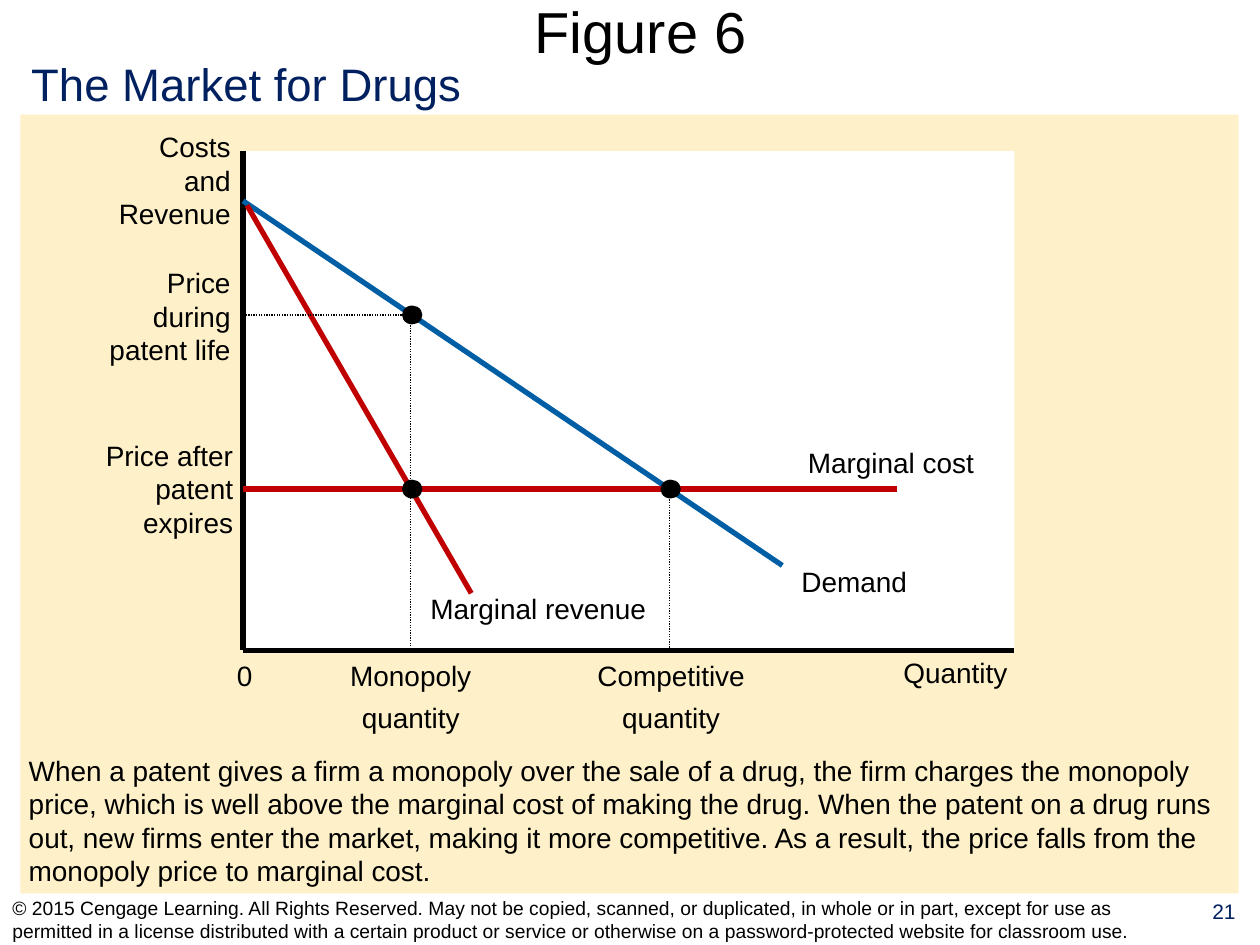
from lxml import etree
from pptx import Presentation
from pptx.dml.color import RGBColor
from pptx.enum.dml import MSO_LINE
from pptx.enum.shapes import MSO_CONNECTOR, MSO_SHAPE
from pptx.enum.text import MSO_ANCHOR, MSO_AUTO_SIZE, PP_ALIGN
from pptx.oxml.ns import qn
from pptx.util import Cm, Pt

LEFT, CENTER, RIGHT = PP_ALIGN.LEFT, PP_ALIGN.CENTER, PP_ALIGN.RIGHT
TOP, MIDDLE = MSO_ANCHOR.TOP, MSO_ANCHOR.MIDDLE
STRAIGHT = MSO_CONNECTOR.STRAIGHT
RECTANGLE, OVAL = MSO_SHAPE.RECTANGLE, MSO_SHAPE.OVAL
DOTTED = MSO_LINE.ROUND_DOT
NO_AUTOFIT = MSO_AUTO_SIZE.NONE
FIT_SHAPE = MSO_AUTO_SIZE.SHAPE_TO_FIT_TEXT
TITLE_ONLY = 5

FONT = "Arial"
BLACK, WHITE, NAVY = "000000", "FFFFFF", "002060"
CREAM, BLUE, RED = "FEF0C8", "005EA4", "C00000"


def color(hex_string):
    return RGBColor.from_string(hex_string)


def format_paragraph(paragraph, size, hex_color, align):
    paragraph.alignment = align
    paragraph.font.name = FONT
    paragraph.font.size = Pt(size)
    paragraph.font.color.rgb = color(hex_color)


def add_text(slide, box, lines, size=16, hex_color=BLACK, align=LEFT,
             anchor=TOP, wrap=False, gap=0):
    """Add a text box with one paragraph per line, gap points apart."""
    frame = slide.shapes.add_textbox(*(Cm(value) for value in box)).text_frame
    frame.word_wrap = wrap
    frame.auto_size = NO_AUTOFIT if wrap else FIT_SHAPE
    frame.vertical_anchor = anchor
    frame.text = "\n".join(lines)
    for index, paragraph in enumerate(frame.paragraphs):
        format_paragraph(paragraph, size, hex_color, align)
        if index:
            paragraph.space_before = Pt(gap)


def add_filled_shape(slide, kind, box, hex_color):
    shape = slide.shapes.add_shape(kind, *(Cm(value) for value in box))
    shape.shadow.inherit = False
    shape.fill.solid()
    shape.fill.fore_color.rgb = color(hex_color)
    shape.line.fill.background()


def add_line(slide, start, end, hex_color=BLACK, width=3, dash=None):
    line = slide.shapes.add_connector(
        STRAIGHT, *(Cm(value) for value in (*start, *end)))
    line.line.color.rgb = color(hex_color)
    line.line.width = Pt(width)
    if dash is not None:
        line.line.dash_style = dash
    etree.SubElement(line._element.spPr, qn("a:effectLst"))


def add_heading(slide, left, top, width):
    title = slide.shapes.title
    title.left, title.top = Cm(left), Cm(top)
    title.width, title.height = Cm(width), Cm(1.24)
    frame = title.text_frame
    frame.text = "Figure 6"
    frame.auto_size = NO_AUTOFIT
    frame.vertical_anchor = MIDDLE
    frame.margin_top = frame.margin_bottom = 0
    format_paragraph(frame.paragraphs[0], 33, BLACK, CENTER)
    add_text(slide, (left - 0.51, top + 1.01, 9.4, 1.37),
             ["The Market for Drugs"], 26, NAVY)


def add_market_diagram(slide, left, top, width, height):
    """Draw the axes, curves, equilibrium points and labels."""
    def at(x, y):
        return left + x, top + y

    monopoly, competitive = 3.38, 8.59
    patent_price, cost = 3.3, 6.81

    add_filled_shape(slide, RECTANGLE, (*at(0, 0), width, height), WHITE)
    add_line(slide, at(0, 0), at(0, height))
    add_line(slide, at(0, height), at(width, height))
    add_line(slide, at(0, 1), at(10.87, 8.35), BLUE)
    add_line(slide, at(0.08, 1.09), at(4.6, 8.91), RED)

    for start, end in (
            ((monopoly, patent_price), (monopoly, height)),
            ((0, patent_price), (monopoly, patent_price)),
            ((competitive, cost), (competitive, height))):
        add_line(slide, at(*start), at(*end), width=0.75, dash=DOTTED)
    add_line(slide, at(0, cost), at(13.18, cost), RED)

    dot_width, dot_height = 0.41, 0.38
    for x, y in ((monopoly, patent_price), (monopoly, cost),
                 (competitive, cost)):
        corner = at(x + 0.03 - dot_width / 2, y - dot_height / 2)
        add_filled_shape(slide, OVAL, (*corner, dot_width, dot_height), BLACK)

    price_labels = (
        (0, -0.56, 2.9, ["Costs", "and", "Revenue"]),
        (0, 2.18, 3.1, ["Price", "during", "patent life"]),
        (0.05, 5.66, 3.2, ["Price after", "patent", "expires"]),
    )
    for right, y, label_width, lines in price_labels:
        add_text(slide, (*at(right - label_width, y), label_width, 2.29),
                 lines, align=RIGHT)

    centered_labels = (
        (14.36, 10.04, 2.8, ["Quantity"]),
        (0.03, 10.1, 0.9, ["0"]),
        (3.38, 10.1, 3.1, ["Monopoly", "quantity"]),
        (8.63, 10.1, 3.6, ["Competitive", "quantity"]),
        (12.32, 8.2, 2.8, ["Demand"]),
        (5.95, 8.75, 5, ["Marginal revenue"]),
        (13.06, 5.8, 4, ["Marginal cost"]),
    )
    for center, y, label_width, lines in centered_labels:
        label_height = 0.94 if len(lines) == 1 else 1.75
        add_text(slide, (*at(center - label_width / 2, y), label_width, label_height),
                 lines, align=CENTER, gap=5)


def add_explanation(slide, box):
    add_text(slide, box, [
        "When a patent gives a firm a monopoly over the sale of a drug, the "
        "firm charges the monopoly price, which is well above the marginal "
        "cost of making the drug. When the patent on a drug runs out, new "
        "firms enter the market, making it more competitive. As a result, "
        "the price falls from the monopoly price to marginal cost."], wrap=True)


def add_footer(slide, left, top, width):
    number_width = 1.45
    add_text(slide, (left, top, width - number_width, 1.02), [
        "© 2015 Cengage Learning. All Rights Reserved. May not be copied, "
        "scanned, or duplicated, in whole or in part, except for use as "
        "permitted in a license distributed with a certain product or service "
        "or otherwise on a password-protected website for classroom use."],
        11, anchor=MIDDLE, wrap=True)
    add_text(slide, (left + width - number_width, top - 0.05, number_width, 1.04),
             ["21"], 12, NAVY, CENTER, wrap=True)


def main():
    presentation = Presentation()
    presentation.slide_width, presentation.slide_height = Cm(25.4), Cm(19.05)
    slide = presentation.slides.add_slide(presentation.slide_layouts[TITLE_ONLY])
    add_filled_shape(slide, RECTANGLE, (0.41, 2.31, 24.56, 15.7), CREAM)
    add_heading(slide, 0.89, 0, 24.05)
    add_market_diagram(slide, 4.9, 3.05, 15.55, 10.06)
    add_explanation(slide, (0.33, 15.06, 24.71, 2.97))
    add_footer(slide, 0, 18.03, 25.4)
    presentation.save("out.pptx")


if __name__ == "__main__":
    main()
